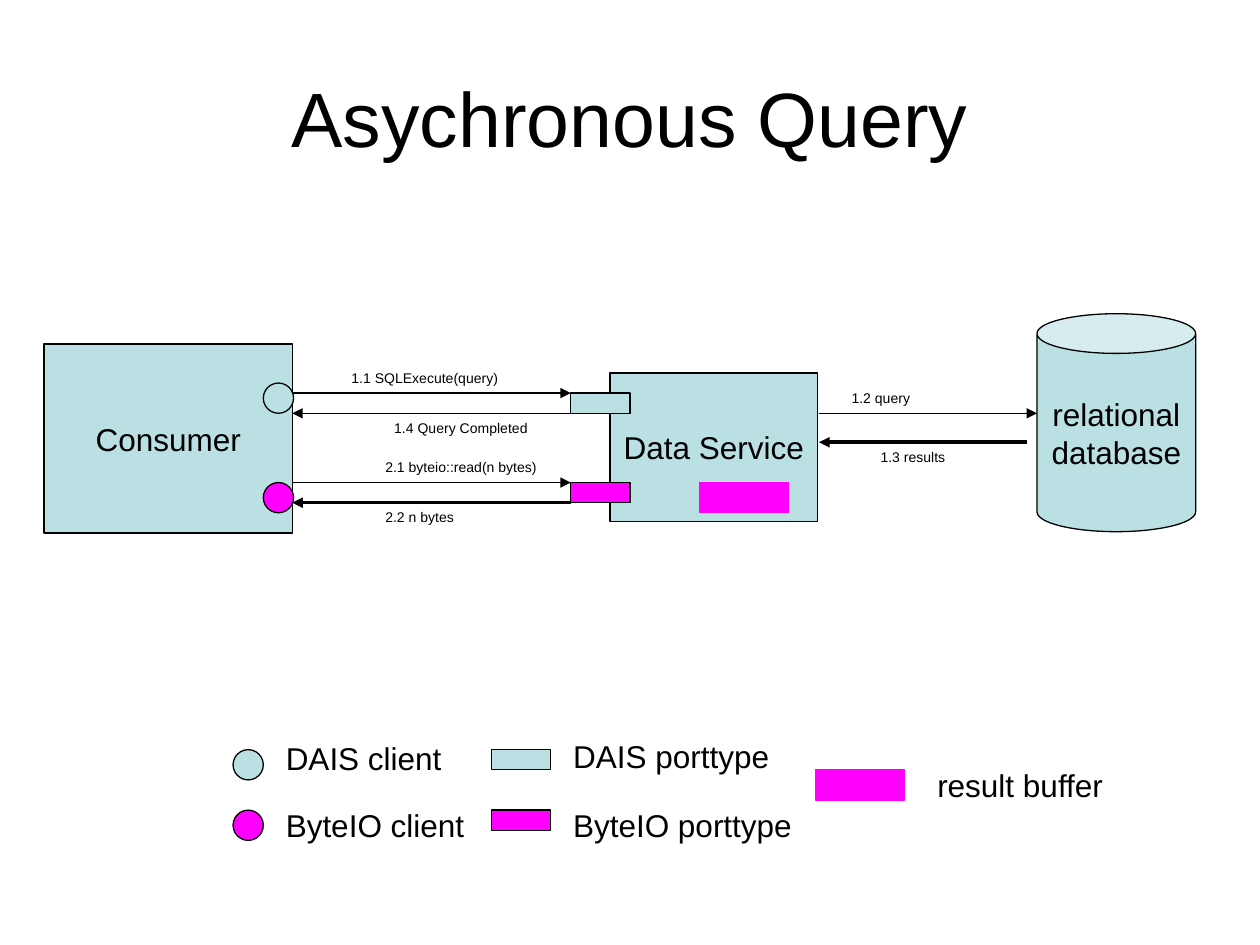
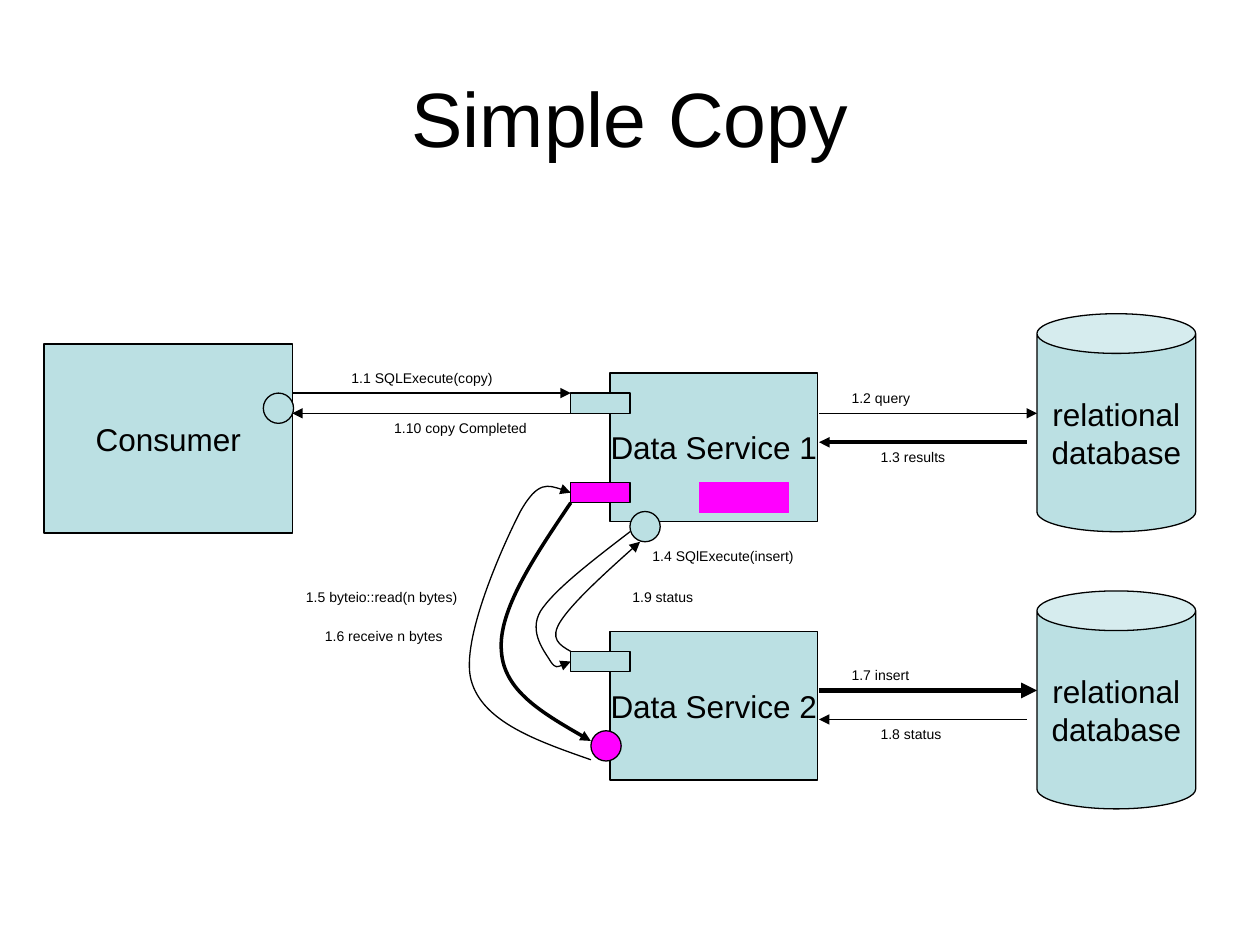
"""Build two slides that show the message flow of data service queries."""
import lxml.etree
import pptx
import pptx.dml.color
import pptx.enum.shapes
import pptx.enum.text
import pptx.oxml.ns
import pptx.util

Inches = pptx.util.Inches
SHAPE = pptx.enum.shapes.MSO_SHAPE
ALIGN = pptx.enum.text.PP_ALIGN
ANCHOR = pptx.enum.text.MSO_ANCHOR
AUTO_SIZE = pptx.enum.text.MSO_AUTO_SIZE
qn = pptx.oxml.ns.qn

COLOURS = {"ink": "000000", "dais": "BBE0E3", "byteio": "FF00FF"}
TITLE_FONT = {"name": "Arial", "size": pptx.util.Pt(44)}
NODE_FONT = {"name": "Arial", "size": pptx.util.Pt(18)}
LABEL_FONT = {"name": "Arial", "size": pptx.util.Pt(8)}
TITLE_FRAME = {"word_wrap": True, "auto_size": AUTO_SIZE.NONE, "vertical_anchor": ANCHOR.MIDDLE}
NODE_FRAME = {"word_wrap": False, "vertical_anchor": ANCHOR.MIDDLE}
LABEL_FRAME = {"word_wrap": False, "auto_size": AUTO_SIZE.SHAPE_TO_FIT_TEXT,
               "vertical_anchor": ANCHOR.TOP}

THIN, MEDIUM, THICK = 0.75, 2, 3
CIRCLE = 0.24
PORT_LEFT, PORT_WIDTH, PORT_HEIGHT = 4.53, 0.47, 0.16
CONSUMER_RIGHT, SERVICE_RIGHT = 2.32, 6.5
DATABASE_LEFT = 8.23


def rgb(colour):
    return pptx.dml.color.RGBColor.from_string(COLOURS[colour])


def set_values(target, values):
    for name, value in values.items():
        setattr(target, name, value)


def write(holder, text, frame_values, font_values, align):
    frame = holder.text_frame
    frame.text = text
    set_values(frame, frame_values)
    for para in frame.paragraphs:
        para.alignment = align
        set_values(para.font, font_values)
        para.font.color.rgb = rgb("ink")


def set_line(shape, colour="ink", width=THIN):
    shape.line.color.rgb = rgb(colour)
    shape.line.width = pptx.util.Pt(width)


def add_arrowhead(shape):
    line = shape.element.spPr.find(qn("a:ln"))
    lxml.etree.SubElement(line, qn("a:tailEnd"), type="triangle")


def add_slide(deck, title):
    slide = deck.slides.add_slide(deck.slide_layouts[5])
    box = slide.shapes.title
    set_values(box, {"left": Inches(0.5), "top": Inches(0.3),
                     "width": Inches(9), "height": Inches(1.25)})
    write(box, title, TITLE_FRAME, TITLE_FONT, ALIGN.CENTER)
    return slide


def add_node(slide, kind, left, top, width, height, colour="dais", outline="ink", text=""):
    node = slide.shapes.add_shape(kind, Inches(left), Inches(top), Inches(width), Inches(height))
    node.shadow.inherit = False
    node.fill.solid()
    node.fill.fore_color.rgb = rgb(colour)
    set_line(node, outline)
    if text:
        write(node, text, NODE_FRAME, NODE_FONT, ALIGN.CENTER)


def add_client(slide, left, top, colour):
    add_node(slide, SHAPE.OVAL, left, top, CIRCLE, CIRCLE, colour)


def add_port(slide, left, top, colour):
    add_node(slide, SHAPE.RECTANGLE, left, top, PORT_WIDTH, PORT_HEIGHT, colour)


def add_buffer(slide, left, top):
    add_node(slide, SHAPE.RECTANGLE, left, top, 0.71, 0.24, "byteio", "byteio")


def add_service(slide, top, name):
    add_node(slide, SHAPE.RECTANGLE, 4.84, top, 1.65, 1.18, text=name)


def add_label(slide, text, left, top, width, height=0.24, font=LABEL_FONT):
    box = slide.shapes.add_textbox(Inches(left), Inches(top), Inches(width), Inches(height))
    write(box, text, LABEL_FRAME, font, ALIGN.LEFT)


def add_arrow(slide, start, end, y, width=THIN):
    arrow = slide.shapes.add_connector(pptx.enum.shapes.MSO_CONNECTOR.STRAIGHT,
                                       Inches(start), Inches(y), Inches(end), Inches(y))
    set_line(arrow, width=width)
    add_arrowhead(arrow)
    lxml.etree.SubElement(arrow.element.spPr, qn("a:effectLst"))


def bend_segments(curve):
    outline = next(curve.element.iter(qn("a:path")))
    segments = outline.findall(qn("a:lnTo"))
    for first in range(0, len(segments), 3):
        bend = lxml.etree.SubElement(outline, qn("a:cubicBezTo"))
        for segment in segments[first:first + 3]:
            bend.append(segment[0])
            outline.remove(segment)


def add_curved_arrow(slide, points, width=THIN):
    start, *controls = [(Inches(x), Inches(y)) for x, y in points]
    builder = slide.shapes.build_freeform(*start)
    builder.add_line_segments(controls, close=False)
    curve = builder.convert_to_shape()
    bend_segments(curve)
    curve.shadow.inherit = False
    curve.fill.background()
    set_line(curve, width=width)
    add_arrowhead(curve)


def add_database(slide, top, request, reply, request_width, reply_width):
    add_node(slide, SHAPE.CAN, DATABASE_LEFT, top, 1.26, 1.73, text="relational\ndatabase")
    add_arrow(slide, SERVICE_RIGHT, DATABASE_LEFT, top + 0.79, request_width)
    add_arrow(slide, 8.15, SERVICE_RIGHT, top + 1.02, reply_width)
    add_label(slide, request, 6.66, top + 0.55, 0.69)
    add_label(slide, reply, 6.89, top + 1.02, 0.74)


def add_query_flow(slide, service, request, request_width, reply):
    add_service(slide, 2.96, service)
    add_database(slide, 2.49, "1.2 query", "1.3 results", THIN, MEDIUM)
    add_port(slide, PORT_LEFT, 3.12, "dais")
    add_port(slide, PORT_LEFT, 3.83, "byteio")
    add_buffer(slide, 5.55, 3.83)
    add_arrow(slide, 2.24, PORT_LEFT, 3.12)
    add_arrow(slide, PORT_LEFT, CONSUMER_RIGHT, 3.28)
    add_node(slide, SHAPE.RECTANGLE, 0.35, 2.73, 1.97, 1.5, text="Consumer")
    add_label(slide, request, 2.69, 2.88, request_width)
    add_label(slide, reply, 3.03, 3.28, 1.29)


def add_legend(slide):
    for top, colour in ((5.95, "dais"), (6.43, "byteio")):
        add_client(slide, 1.85, top, colour)
        add_port(slide, 3.9, top, colour)
    add_buffer(slide, 6.47, 6.11)
    for text, left, top, width in (
        ("DAIS client", 2.17, 5.82, 1.46),
        ("ByteIO client", 2.17, 6.35, 1.64),
        ("DAIS porttype", 4.45, 5.8, 1.78),
        ("ByteIO porttype", 4.45, 6.35, 1.96),
        ("result buffer", 7.34, 6.03, 1.55),
    ):
        add_label(slide, text, left, top, width, 0.4, NODE_FONT)


def build_asynchronous_query(deck):
    slide = add_slide(deck, "Asychronous Query")
    add_query_flow(slide, "Data Service", "1.1 SQLExecute(query)", 1.39, "1.4 Query Completed")
    add_arrow(slide, CONSUMER_RIGHT, PORT_LEFT, 3.83)
    add_arrow(slide, PORT_LEFT, CONSUMER_RIGHT, 3.99, MEDIUM)
    add_label(slide, "2.1 byteio::read(n bytes)", 2.96, 3.59, 1.43)
    add_label(slide, "2.2 n bytes", 2.96, 3.99, 0.77)
    add_client(slide, 2.09, 3.04, "dais")
    add_client(slide, 2.09, 3.83, "byteio")
    add_legend(slide)


def build_simple_copy(deck):
    slide = add_slide(deck, "Simple Copy")
    add_query_flow(slide, "Data Service 1", "1.1 SQLExecute(copy)", 1.35, "1.10 copy Completed")
    add_service(slide, 5.01, "Data Service 2")
    add_database(slide, 4.69, "1.7 insert", "1.8 status", THICK, THIN)
    add_port(slide, PORT_LEFT, 5.17, "dais")
    add_client(slide, 2.09, 3.12, "dais")
    add_client(slide, 5, 4.06, "dais")
    add_client(slide, 4.69, 5.8, "byteio")
    for text, left, top, width in (
        ("1.4 SQlExecute(insert)", 5.08, 4.3, 1.35),
        ("1.5 byteio::read(n bytes)", 2.33, 4.62, 1.43),
        ("1.6 receive n bytes", 2.48, 4.93, 1.17),
        ("1.9 status", 4.92, 4.62, 0.71),
    ):
        add_label(slide, text, left, top, width)
    insert_call = [(5, 4.22), (4.7, 4.45), (4.4, 4.68), (4.29, 4.85), (4.19, 5.02),
                   (4.33, 5.18), (4.37, 5.25), (4.41, 5.31), (4.47, 5.28), (4.53, 5.25)]
    insert_status = [(4.53, 5.17), (4.44, 5.12), (4.36, 5.07), (4.45, 4.93),
                     (4.54, 4.79), (4.81, 4.54), (5.08, 4.3)]
    read_call = [(4.69, 6.03), (4.26, 5.88), (3.83, 5.73), (3.74, 5.4), (3.65, 5.08),
                 (4, 4.31), (4.13, 4.06), (4.27, 3.81), (4.4, 3.86), (4.53, 3.91)]
    read_bytes = [(4.53, 3.99), (4.24, 4.42), (3.95, 4.85), (3.98, 5.17),
                  (4, 5.48), (4.34, 5.68), (4.69, 5.88)]
    for points in (insert_call, insert_status, read_call):
        add_curved_arrow(slide, points)
    add_curved_arrow(slide, read_bytes, MEDIUM)


def main():
    deck = pptx.Presentation()
    set_values(deck, {"slide_width": Inches(10), "slide_height": Inches(7.5)})
    build_asynchronous_query(deck)
    build_simple_copy(deck)
    deck.save("out.pptx")


if __name__ == "__main__":
    main()
